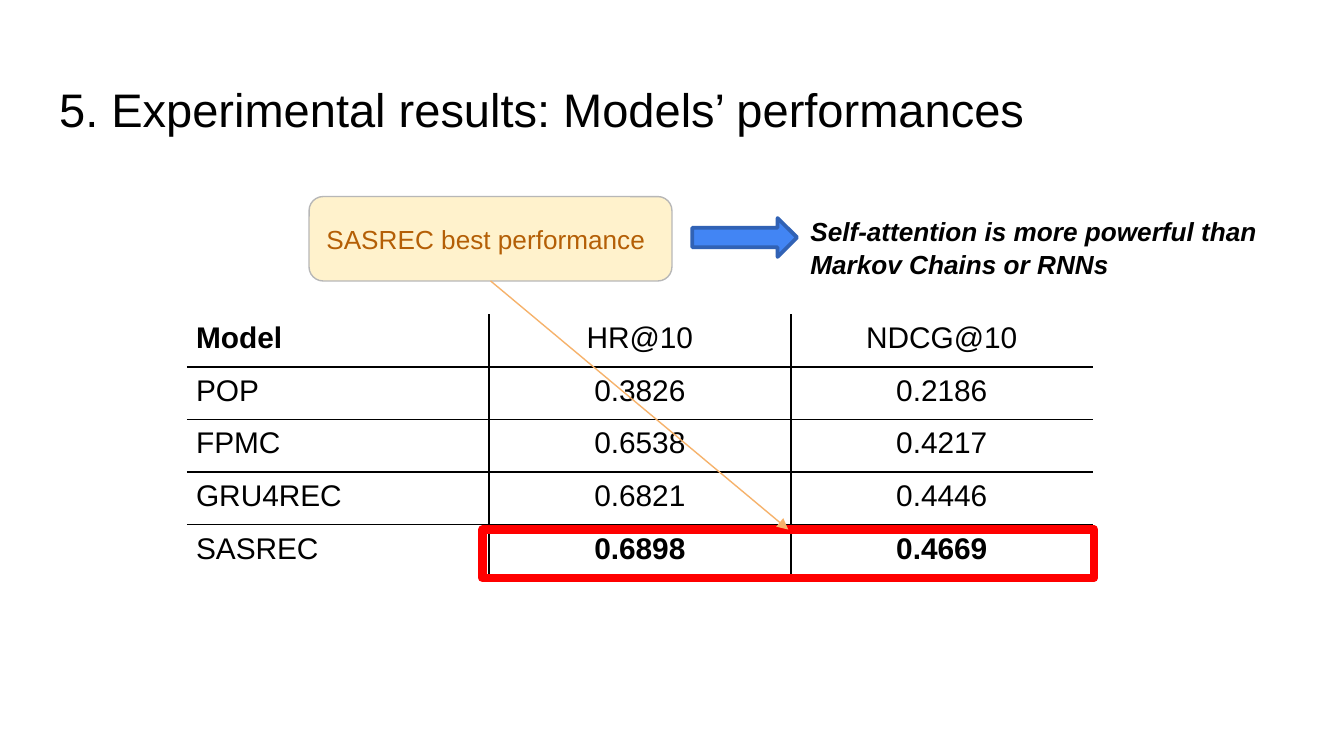
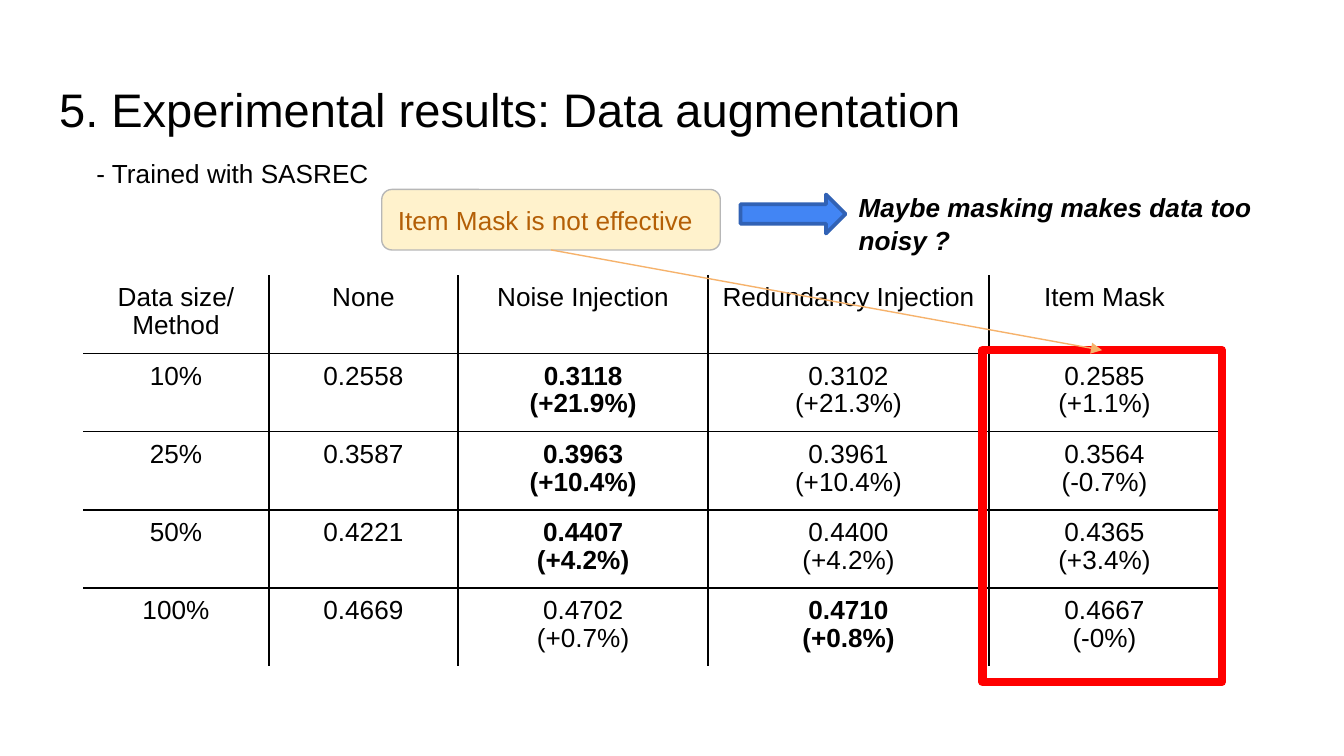
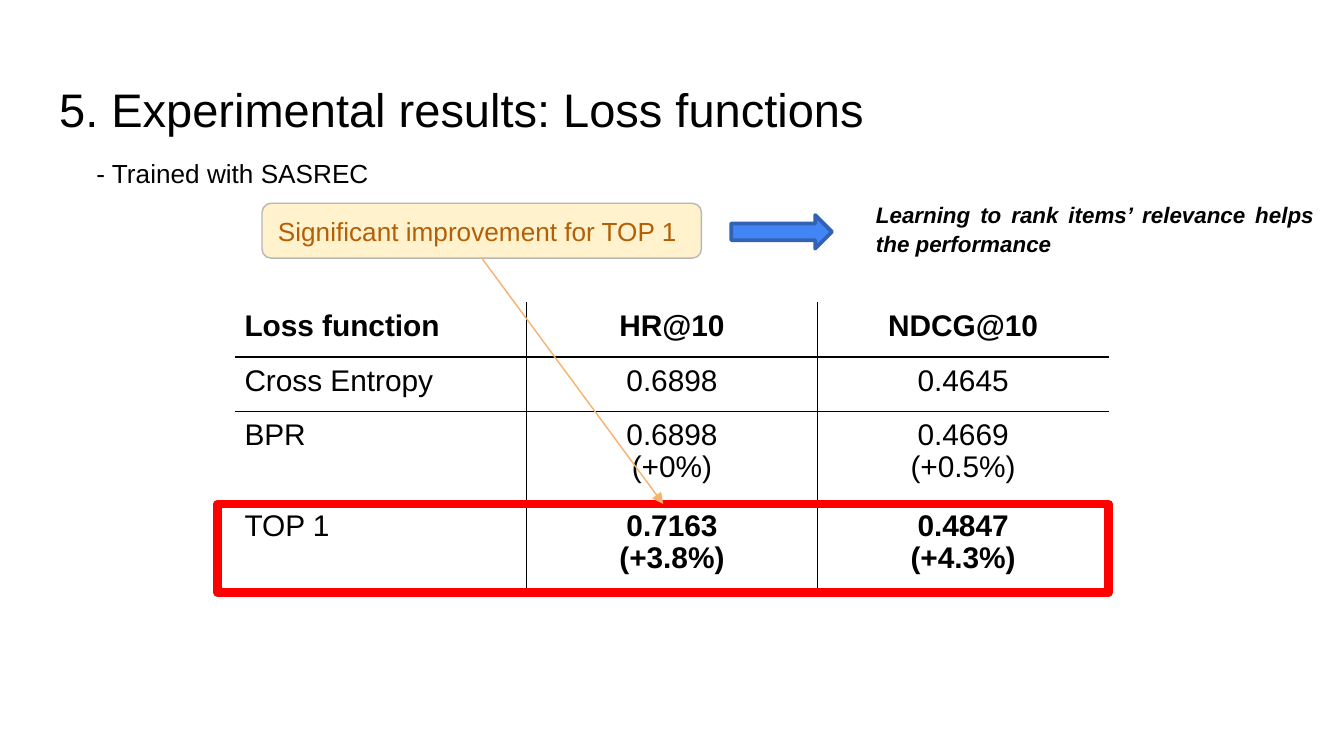
"""Build three slides of experimental results."""
from lxml import etree
from pptx import Presentation
from pptx import util as u
from pptx.dml.color import RGBColor
from pptx.enum import shapes, text
from pptx.oxml import ns

FONT = "Arial"
COLORS = {
    "ink": "000000", "highlight": "FF0000",
    "callout": "FFF2CC", "callout_line": "B7B7B7", "callout_text": "B45F06",
    "pointer": "F6B26B", "arrow": "4285F4", "arrow_line": "3162B5",
}
TITLE_BOX = (24.5, 35.3, 671, 45.4)
SUBTITLE_BOX = (44.6, 79.9, 289.4, 24.5)
TITLE_ONLY = 5
LEFT, CENTER, JUSTIFY = text.PP_ALIGN.LEFT, text.PP_ALIGN.CENTER, text.PP_ALIGN.JUSTIFY


def color(name):
    """Return the named colour."""
    return RGBColor.from_string(COLORS[name])


def points(box):
    """Convert a sequence of numbers to point lengths."""
    return [u.Pt(value) for value in box]


def add_xml(parent, tag, **attributes):
    """Append a DrawingML element and return it."""
    return etree.SubElement(parent, ns.qn(tag), attributes)


def set_insets(frame, horizontal, vertical):
    """Set the margins of a text frame or table cell."""
    frame.margin_left = frame.margin_right = u.Pt(horizontal)
    frame.margin_top = frame.margin_bottom = u.Pt(vertical)


def format_text(frame, size, ink="ink", align=LEFT, bold=False, italic=False, spacing=1.0):
    """Format every paragraph of a text frame."""
    for paragraph in frame.paragraphs:
        paragraph.alignment = align
        paragraph.line_spacing = spacing
        font = paragraph.font
        font.name, font.size = FONT, u.Pt(size)
        font.bold, font.italic = bold, italic
        font.color.rgb = color(ink)


def add_title(slide, words):
    """Place and format the title placeholder."""
    title = slide.shapes.title
    title.left, title.top, title.width, title.height = points(TITLE_BOX)
    frame = title.text_frame
    frame.text = words
    frame.auto_size = text.MSO_AUTO_SIZE.NONE
    frame.vertical_anchor = text.MSO_ANCHOR.MIDDLE
    set_insets(frame, 7.2, 7.2)
    format_text(frame, 25.2)


def add_text(slide, box, words, size, **style):
    """Add a wrapping text box."""
    frame = slide.shapes.add_textbox(*points(box)).text_frame
    frame.word_wrap = True
    frame.text = words
    format_text(frame, size, spacing=1.05, **style)


def add_shape(slide, kind, box, line, width, fill=None):
    """Add a preset shape with an outline and an optional fill."""
    shape = slide.shapes.add_shape(kind, *points(box))
    shape.shadow.inherit = False
    if fill:
        shape.fill.solid()
        shape.fill.fore_color.rgb = color(fill)
    else:
        shape.fill.background()
    shape.line.color.rgb = color(line)
    shape.line.width = u.Pt(width)
    add_xml(shape.line._get_or_add_ln(), "a:round")
    return shape


def add_callout(slide, box, words):
    """Add the rounded finding box."""
    kind = shapes.MSO_SHAPE.FLOWCHART_ALTERNATE_PROCESS
    frame = add_shape(slide, kind, box, "callout_line", 0.75, "callout").text_frame
    frame.word_wrap = True
    frame.vertical_anchor = text.MSO_ANCHOR.MIDDLE
    frame.text = words
    set_insets(frame, 7.2, 7.2)
    format_text(frame, 14, "callout_text", JUSTIFY)


def add_pointer(slide, source, target):
    """Point from the bottom centre of one box to the top centre of another."""
    ends = (source[0] + source[2] / 2, source[1] + source[3],
            target[0] + target[2] / 2, target[1])
    pointer = slide.shapes.add_connector(shapes.MSO_CONNECTOR.STRAIGHT, *points(ends))
    pointer.line.color.rgb = color("pointer")
    pointer.line.width = u.Pt(0.75)
    add_xml(pointer.line._get_or_add_ln(), "a:tailEnd", type="triangle")
    add_xml(pointer._element.spPr, "a:effectLst")


def set_borders(cell, **visible):
    """Draw or hide each border of a cell, then clear its fill."""
    properties = cell._tc.get_or_add_tcPr()
    for side in "LRTB":
        line = add_xml(properties, f"a:ln{side}", w=str(u.Pt(1)))
        if visible[side]:
            fill = add_xml(line, "a:solidFill")
            add_xml(fill, "a:srgbClr", val=COLORS["ink"])
        else:
            add_xml(line, "a:noFill")
    cell.fill.background()


def add_grid(slide, origin, widths, heights, rows, size, bold, first_align=LEFT):
    """Add a table with inner rules only; bold holds (row, column) pairs."""
    box = (*origin, sum(widths), sum(heights))
    table = slide.shapes.add_table(len(rows), len(widths), *points(box)).table
    table.first_row = table.horz_banding = False
    for column, width in zip(table.columns, widths):
        column.width = u.Pt(width)
    for row, height in zip(table.rows, heights):
        row.height = u.Pt(height)
    for r, values in enumerate(rows):
        for c, value in enumerate(values):
            cell = table.cell(r, c)
            cell.text = value
            set_insets(cell, 5, 5)
            format_text(cell.text_frame, size, align=CENTER if c else first_align,
                        bold=(r, c) in bold, spacing=0.95)
            set_borders(cell, L=c > 0, R=c < len(widths) - 1, T=r > 0, B=r < len(rows) - 1)


def add_result_slide(presentation, title, grid, highlight, callout, arrow, note, subtitle=None):
    """Add a slide with a table, its highlight, a finding and a conclusion."""
    slide = presentation.slides.add_slide(presentation.slide_layouts[TITLE_ONLY])
    add_title(slide, title)
    if subtitle:
        add_text(slide, SUBTITLE_BOX, subtitle, 14)
    add_grid(slide, **grid)
    add_shape(slide, shapes.MSO_SHAPE.RECTANGLE, highlight, "highlight", 4.5)
    add_callout(slide, **callout)
    add_pointer(slide, callout["box"], highlight)
    add_shape(slide, shapes.MSO_SHAPE.RIGHT_ARROW, arrow, "arrow_line", 2, "arrow")
    add_text(slide, bold=True, italic=True, **note)


def main():
    """Build and save the presentation."""
    presentation = Presentation()
    presentation.slide_width, presentation.slide_height = u.Pt(720), u.Pt(405)
    heading = "5. Experimental results: "
    trained = "- Trained with SASREC"

    add_result_slide(
        presentation, heading + "Models’ performances",
        grid=dict(
            origin=(100.1, 168.3), widths=[161.8] * 3, heights=[28.2] * 5, size=16,
            bold={(0, 0), (4, 1), (4, 2)},
            rows=[("Model", "HR@10", "NDCG@10"),
                  ("POP", "0.3826", "0.2186"),
                  ("FPMC", "0.6538", "0.4217"),
                  ("GRU4REC", "0.6821", "0.4446"),
                  ("SASREC", "0.6898", "0.4669")]),
        highlight=(258.5, 283.7, 327.6, 25.9),
        callout=dict(box=(165.6, 105.3, 194.4, 45.2), words="SASREC best performance"),
        arrow=(370.8, 116.8, 56.2, 20.9),
        note=dict(box=(427, 110.9, 262.8, 41), size=14,
                  words="Self-attention is more powerful than Markov Chains or RNNs"))

    add_result_slide(
        presentation, heading + "Data augmentation", subtitle=trained,
        grid=dict(
            origin=(44.6, 147.4), widths=[99.4, 101.5, 133.9, 150.5, 123.8],
            heights=[41.5] * 5, size=14, first_align=CENTER,
            bold={(1, 2), (2, 2), (3, 2), (4, 3)},
            rows=[("Data size/ Method", "None", "Noise Injection",
                   "Redundancy Injection", "Item Mask"),
                  ("10%", "0.2558", "0.3118\n(+21.9%)", "0.3102\n(+21.3%)", "0.2585\n(+1.1%)"),
                  ("25%", "0.3587", "0.3963\n(+10.4%)", "0.3961\n(+10.4%)", "0.3564\n(-0.7%)"),
                  ("50%", "0.4221", "0.4407\n(+4.2%)", "0.4400\n(+4.2%)", "0.4365\n(+3.4%)"),
                  ("100%", "0.4669", "0.4702\n(+0.7%)", "0.4710\n(+0.8%)", "0.4667\n(-0%)")]),
        highlight=(526.3, 187.6, 128.2, 177.8),
        callout=dict(box=(204.5, 101.5, 181.4, 32.4), words="Item Mask is not effective"),
        arrow=(396.7, 104.2, 56.2, 20.9),
        note=dict(box=(452.9, 98, 262.8, 41), size=14,
                  words="Maybe masking makes data too noisy ?"))

    add_result_slide(
        presentation, heading + "Loss functions", subtitle=trained,
        grid=dict(
            origin=(126, 162), widths=[156] * 3, heights=[29.2, 29.2, 48.6, 48.6], size=16,
            bold={(0, 0), (0, 1), (0, 2), (3, 1), (3, 2)},
            rows=[("Loss function", "HR@10", "NDCG@10"),
                  ("Cross Entropy", "0.6898", "0.4645"),
                  ("BPR", "0.6898\n(+0%)", "0.4669\n(+0.5%)"),
                  ("TOP 1", "0.7163\n(+3.8%)", "0.4847\n(+4.3%)")]),
        highlight=(116.6, 270, 477.4, 47.5),
        callout=dict(box=(140.4, 108.9, 235.4, 29.4),
                     words="Significant improvement for TOP 1"),
        arrow=(391.7, 115.2, 54, 18),
        note=dict(box=(462.2, 103.7, 249.1, 36), size=12, align=JUSTIFY,
                  words="Learning to rank items’ relevance helps the performance"))

    presentation.save("out.pptx")


main()
